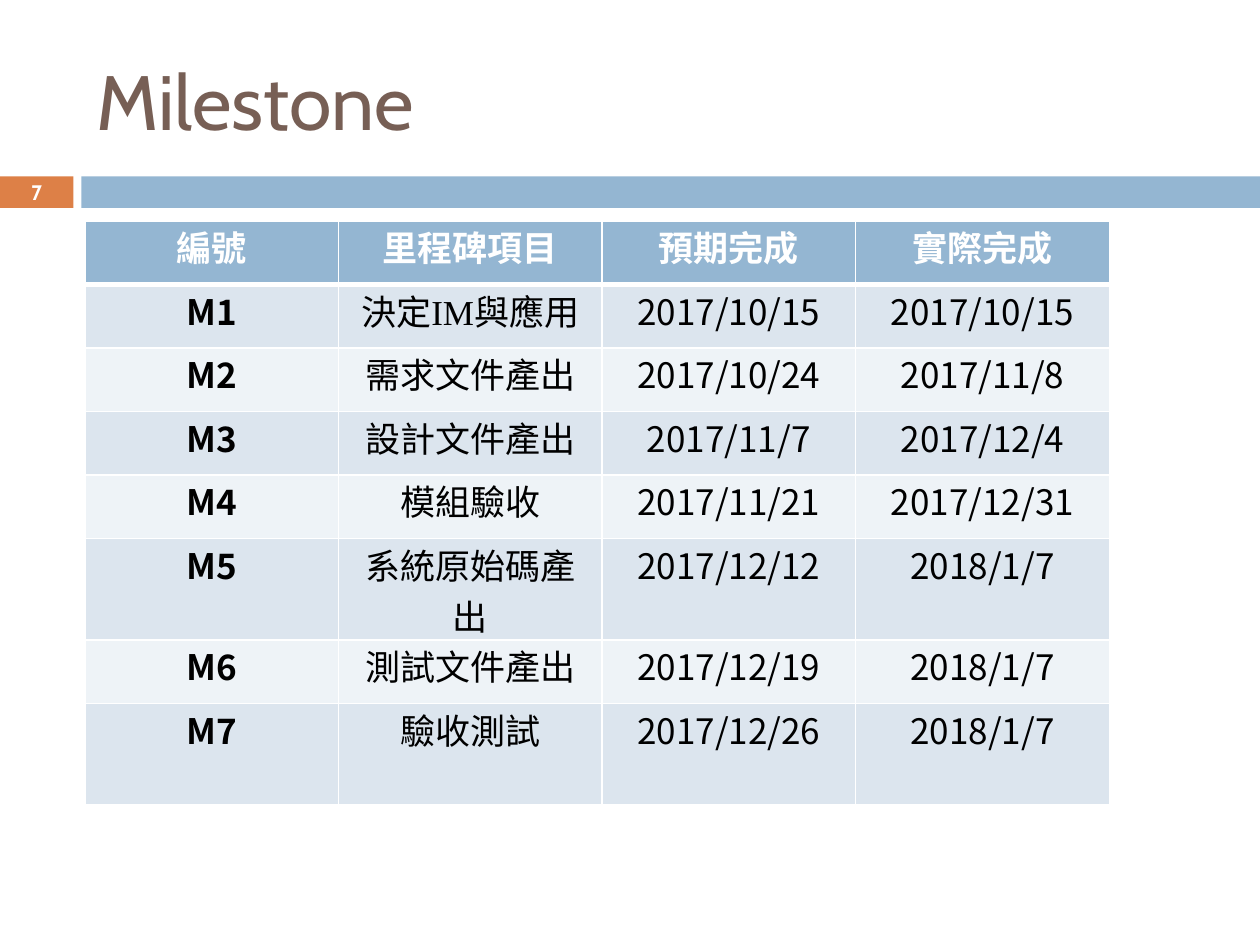
from lxml.etree import SubElement
from pptx import Presentation
from pptx.dml.color import RGBColor
from pptx.enum.shapes import MSO_SHAPE
from pptx.enum.text import MSO_ANCHOR, PP_ALIGN
from pptx.oxml.ns import qn
from pptx.util import Pt

# Content
TITLE = "Milestone"
NUMBER = "7"
HEAD = ("編號", "里程碑項目", "預期完成", "實際完成")
ROWS = [
    ("M1", "決定IM與應用", "2017/10/15", "2017/10/15"),
    ("M2", "需求文件產出", "2017/10/24", "2017/11/8"),
    ("M3", "設計文件產出", "2017/11/7", "2017/12/4"),
    ("M4", "模組驗收", "2017/11/21", "2017/12/31"),
    ("M5", "系統原始碼產出", "2017/12/12", "2018/1/7"),
    ("M6", "測試文件產出", "2017/12/19", "2018/1/7"),
    ("M7", "驗收測試", "2017/12/26", "2018/1/7"),
]

# Style
WHITE = RGBColor(0xFF, 0xFF, 0xFF)
BLACK = RGBColor(0, 0, 0)
BROWN = RGBColor(0x77, 0x5F, 0x55)
ORANGE = RGBColor(0xDD, 0x80, 0x47)
BLUE = RGBColor(0x94, 0xB6, 0xD2)
BANDS = (RGBColor(0xDC, 0xE5, 0xEE), RGBColor(0xEE, 0xF3, 0xF7))
SANS, SERIF, CJK = "Cabin", "Times New Roman", "Noto Sans CJK SC"
WIDTHS = (145, 150.5, 145, 145)
LOW, TALL = 36.3, 58
HEIGHTS = [TALL if row[0] in ("M5", "M7") else LOW for row in (HEAD, *ROWS)]


def write(frame, text, size=20, font=SANS, color=BLACK, bold=False,
          align=PP_ALIGN.CENTER):
    para = frame.paragraphs[0]
    para.alignment = align
    run = para.add_run()
    run.text = text
    run.font.size = Pt(size)
    run.font.name = font
    run.font.bold = bold
    run.font.color.rgb = color
    props = run.font._element
    props.set("lang", "en-US" if text.isascii() else "zh-TW")
    SubElement(props, qn("a:ea"), typeface=CJK)


def bar(left, width, color):
    shape = slide.shapes.add_shape(
        MSO_SHAPE.RECTANGLE, Pt(left), Pt(100.8), Pt(width), Pt(18))
    shape.shadow.inherit = False
    shape.fill.solid()
    shape.fill.fore_color.rgb = color
    shape.line.fill.background()


def border(cell, widths):
    props = cell._tc.get_or_add_tcPr()
    for spot, (side, width) in enumerate(widths.items()):
        line = SubElement(props, qn("a:" + side), w=str(Pt(width)))
        fill = SubElement(line, qn("a:solidFill"))
        SubElement(fill, qn("a:srgbClr"), val=str(WHITE))
        props.insert(spot, line)


deck = Presentation()
deck.slide_width, deck.slide_height = Pt(720), Pt(540)
slide = deck.slides.add_slide(deck.slide_layouts[5])

# Bars under the title
bar(0, 42, ORANGE)
bar(46.5, 673.5, BLUE)

# Title
title = slide.shapes.title
title.left, title.top, title.width, title.height = Pt(48), Pt(18), Pt(642), Pt(78)
title.text_frame.vertical_anchor = MSO_ANCHOR.MIDDLE
write(title.text_frame, TITLE, size=44, color=BROWN, align=PP_ALIGN.LEFT)

# Slide number
box = slide.shapes.add_textbox(Pt(0), Pt(100), Pt(42), Pt(19.5))
frame = box.text_frame
frame.word_wrap = True
frame.vertical_anchor = MSO_ANCHOR.MIDDLE
frame.margin_top = frame.margin_bottom = 0
write(frame, NUMBER, size=12, color=WHITE, bold=True)

# Milestone table
table = slide.shapes.add_table(
    len(HEIGHTS), len(WIDTHS), Pt(48.5), Pt(126.3),
    Pt(sum(WIDTHS)), Pt(sum(HEIGHTS))).table
for col, width in zip(table.columns, WIDTHS):
    col.width = Pt(width)
for row, height in zip(table.rows, HEIGHTS):
    row.height = Pt(height)
for r, texts in enumerate((HEAD, *ROWS)):
    for c, text in enumerate(texts):
        cell = table.cell(r, c)
        cell.margin_left = cell.margin_right = Pt(5.4)
        cell.margin_top = cell.margin_bottom = 0
        cell.fill.solid()
        cell.fill.fore_color.rgb = BANDS[(r - 1) % 2] if r else BLUE
        border(cell, {"lnL": 1, "lnR": 1, "lnT": 3 if r == 1 else 1,
                      "lnB": 1 if r else 3})
        write(cell.text_frame, text, bold=r == 0 or c == 0,
              font=SERIF if r == 0 or c == 1 else CJK,
              color=BLACK if r else WHITE)

deck.save("out.pptx")
